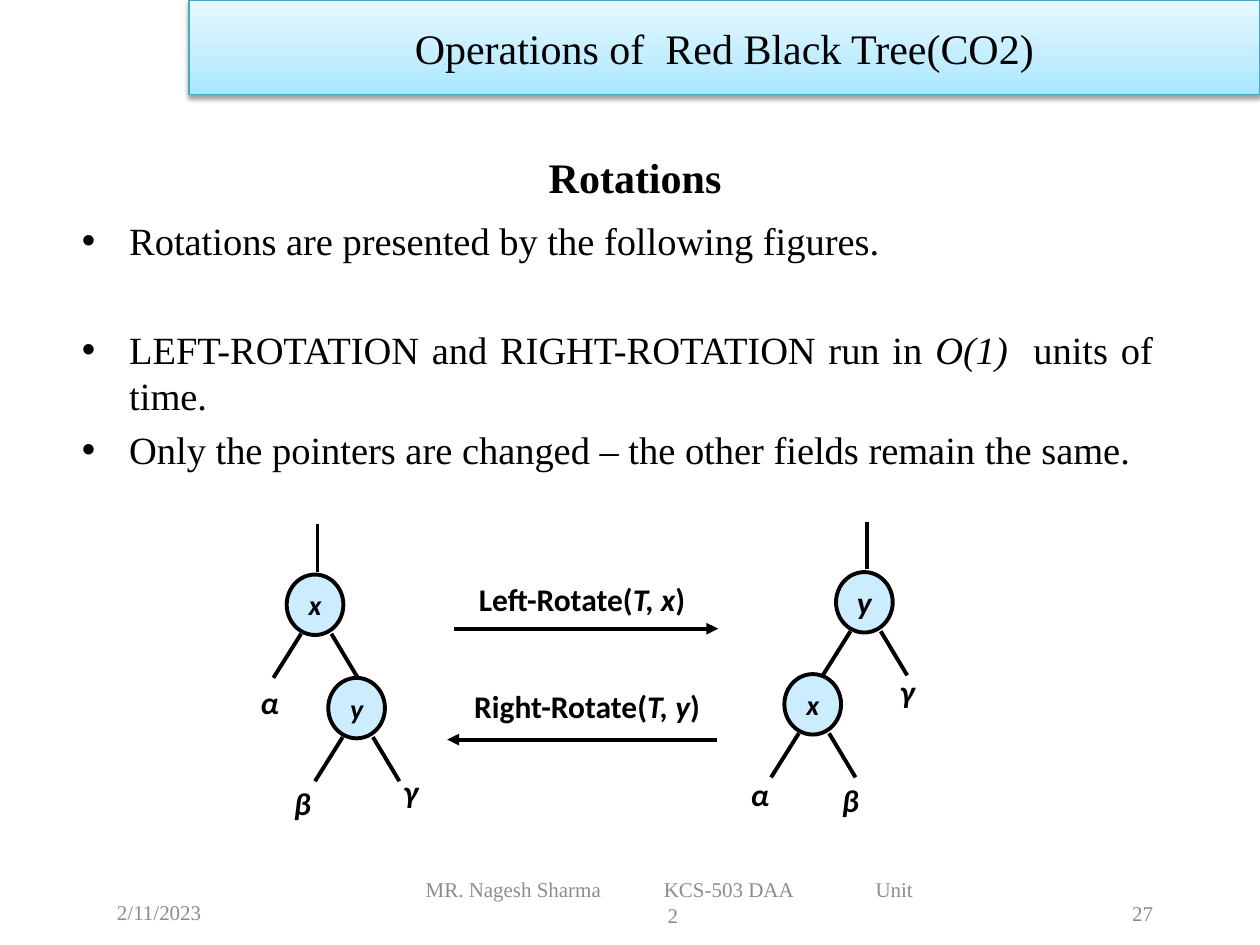
from copy import deepcopy

from pptx import Presentation
from pptx.dml.color import RGBColor
from pptx.enum.shapes import MSO_CONNECTOR, MSO_SHAPE
from pptx.enum.text import MSO_ANCHOR, MSO_AUTO_SIZE, PP_ALIGN
from pptx.oxml import parse_xml
from pptx.oxml.ns import nsdecls, qn
from pptx.util import Inches, Pt

BLACK = RGBColor(0x00, 0x00, 0x00)
GREY = RGBColor(0x8C, 0x8C, 0x8C)
NODE_BLUE = RGBColor(0xCC, 0xEC, 0xFF)
BANNER_EDGE = RGBColor(0x46, 0xAA, 0xC5)
BANNER_STOPS = [
    (0, RGBColor(0xA7, 0xE6, 0xFF)),
    (0.35, RGBColor(0xC1, 0xED, 0xFF)),
    (1, RGBColor(0xE7, 0xF8, 0xFF)),
]

SLIDE_WIDTH, SLIDE_HEIGHT = Inches(10), Inches(7.5)
COLUMNS, ROWS = 100, 75

SERIF = {"name": "Times New Roman", "size": Pt(22)}
HEADING = {"name": "Times New Roman", "size": Pt(24), "bold": True}
BANNER = {"name": "Times New Roman", "size": Pt(24)}
FOOTER = {"name": "Times New Roman", "size": Pt(12)}
LABEL = {"name": "Calibri", "size": Pt(18), "bold": True}
SYMBOL = {**LABEL, "italic": True}
SMALL_SYMBOL = {**SYMBOL, "size": Pt(16)}

STEM = ((0.2, -6.4), (0.2, -2.6))
BRANCHES = (((-1.1, 2.3), (-3.3, 5.8)), ((1.3, 2.3), (3.4, 5.8)))


def place(column, row):
    return round(SLIDE_WIDTH * column / COLUMNS), round(SLIDE_HEIGHT * row / ROWS)


def apply_format(target, values):
    for name, value in values.items():
        setattr(target, name, value)


def add_run(paragraph, text, style, color=BLACK):
    run = paragraph.add_run()
    run.text = text
    apply_format(run.font, style)
    run.font.color.rgb = color


def add_text_box(slide, box, wrap=True):
    text_box = slide.shapes.add_textbox(*place(*box[:2]), *place(*box[2:]))
    apply_format(text_box.text_frame, {
        "word_wrap": wrap, "vertical_anchor": MSO_ANCHOR.MIDDLE,
    })
    return text_box.text_frame


def add_label(slide, center, runs, width=5, height=7):
    column, row = center
    box = (column - width / 2, row - height / 2, width, height)
    paragraph = add_text_box(slide, box, wrap=False).paragraphs[0]
    paragraph.alignment = PP_ALIGN.CENTER
    for text, style in runs:
        add_run(paragraph, text, style)


def add_line(slide, start, end, arrow=False):
    connector = slide.shapes.add_connector(
        MSO_CONNECTOR.STRAIGHT, *place(*start), *place(*end))
    connector.line.color.rgb = BLACK
    connector.line.width = Pt(2.25)
    properties = connector._element.spPr
    if arrow:
        properties.find(qn("a:ln")).append(
            parse_xml(f'<a:tailEnd {nsdecls("a")} type="triangle"/>'))
    properties.append(parse_xml(f'<a:effectLst {nsdecls("a")}/>'))


def add_branch(slide, center, segment):
    column, row = center
    start, end = [(column + across, row + down) for across, down in segment]
    add_line(slide, start, end)


def add_node(slide, center, name, style):
    column, row = center
    node = slide.shapes.add_shape(
        MSO_SHAPE.OVAL, *place(column - 2.25, row - 2.4), *place(4.5, 4.8))
    node.shadow.inherit = False
    node.fill.solid()
    node.fill.fore_color.rgb = NODE_BLUE
    node.line.color.rgb = BLACK
    node.line.width = Pt(2.25)
    apply_format(node.text_frame, {
        "word_wrap": False, "vertical_anchor": MSO_ANCHOR.MIDDLE,
    })
    paragraph = node.text_frame.paragraphs[0]
    paragraph.alignment = PP_ALIGN.CENTER
    add_run(paragraph, name, style)


def add_tree(slide, nodes, leaves):
    for center, name, style in nodes:
        add_node(slide, center, name, style)
        for branch in BRANCHES:
            add_branch(slide, center, branch)
    add_branch(slide, nodes[0][0], STEM)
    for center, symbol in leaves:
        add_label(slide, center, [(symbol, SYMBOL)])


def add_rotation(slide, start, end, center, name, arguments):
    add_line(slide, start, end, arrow=True)
    runs = [(f"{name}(", LABEL), (arguments, SYMBOL), (")", LABEL)]
    add_label(slide, center, runs, width=26)


def add_banner(slide, text):
    banner = slide.shapes.add_shape(MSO_SHAPE.RECTANGLE, *place(15, 0), *place(85, 7.5))
    banner.fill.gradient()
    banner.fill.gradient_angle = 90
    properties = banner._element.spPr
    stop_list = properties.find(qn("a:gradFill")).find(qn("a:gsLst"))
    stop_list.append(deepcopy(stop_list[0]))
    for stop, (position, color) in zip(banner.fill.gradient_stops, BANNER_STOPS):
        stop.position = position
        stop.color.rgb = color
    banner.line.color.rgb = BANNER_EDGE
    banner.line.width = Pt(0.75)
    properties.append(parse_xml(
        f'<a:effectLst {nsdecls("a")}><a:outerShdw blurRad="{Pt(3.1)}" '
        f'dist="{Pt(1.6)}" dir="5400000" rotWithShape="0"><a:srgbClr val="{BLACK}">'
        '<a:alpha val="38000"/></a:srgbClr></a:outerShdw></a:effectLst>'))
    banner.text_frame.vertical_anchor = MSO_ANCHOR.MIDDLE
    paragraph = banner.text_frame.paragraphs[0]
    paragraph.alignment = PP_ALIGN.CENTER
    add_run(paragraph, text, BANNER)


def move_placeholder(placeholder, box):
    left, top = place(*box[:2])
    width, height = place(*box[2:])
    apply_format(placeholder, {"left": left, "top": top, "width": width, "height": height})
    placeholder.text_frame.auto_size = MSO_AUTO_SIZE.NONE
    return placeholder.text_frame


def fill_title(slide, text):
    frame = move_placeholder(slide.shapes.title, (8.3, 12, 84.2, 4.1))
    frame.paragraphs[0].alignment = PP_ALIGN.CENTER
    add_run(frame.paragraphs[0], text, HEADING)


def fill_body(slide, items):
    frame = move_placeholder(slide.placeholders[1], (5.5, 16.7, 87, 23.5))
    for index, (space_before, runs) in enumerate(items):
        paragraph = frame.add_paragraph() if index else frame.paragraphs[0]
        paragraph.alignment = PP_ALIGN.JUSTIFY
        paragraph.space_before = Pt(space_before)
        for text, style in runs:
            add_run(paragraph, text, style)


def add_footer(slide, box, text, alignment):
    paragraph = add_text_box(slide, box).paragraphs[0]
    paragraph.alignment = alignment
    add_run(paragraph, text, FOOTER, GREY)


def add_course_footer(slide, parts, unit):
    frame = add_text_box(slide, (32.8, 69.1, 41.2, 5))
    paragraph = frame.paragraphs[0]
    paragraph._p.get_or_add_pPr().append(parse_xml(
        f'<a:tabLst {nsdecls("a")}><a:tab pos="{Inches(1.89)}" algn="l"/>'
        f'<a:tab pos="{Inches(3.57)}" algn="l"/></a:tabLst>'))
    add_run(paragraph, "\t".join(parts), FOOTER, GREY)
    paragraph = frame.add_paragraph()
    paragraph.alignment = PP_ALIGN.CENTER
    add_run(paragraph, unit, FOOTER, GREY)


def main():
    presentation = Presentation()
    presentation.slide_width, presentation.slide_height = SLIDE_WIDTH, SLIDE_HEIGHT
    slide = presentation.slides.add_slide(presentation.slide_layouts[1])

    fill_title(slide, "Rotations")
    fill_body(slide, [
        (0, [("Rotations are presented by the following figures.", SERIF)]),
        (36, [("LEFT-ROTATION and RIGHT-ROTATION run in ", SERIF),
              ("O(1) ", {**SERIF, "italic": True}), (" units of time.", SERIF)]),
        (4.4, [("Only the pointers are changed – the other fields remain the same.", SERIF)]),
    ])
    add_tree(slide,
             [((25, 48), "x", SMALL_SYMBOL), ((28.3, 56.2), "y", SMALL_SYMBOL)],
             [((21.4, 55.7), "α"), ((24, 63.7), "β"), ((32.6, 62.8), "γ")])
    add_tree(slide,
             [((68.6, 47.8), "y", SYMBOL), ((64.5, 55.9), "x", SMALL_SYMBOL)],
             [((60.3, 63), "α"), ((67.5, 63.5), "β"), ((72, 54.8), "γ")])
    add_rotation(slide, (36, 49.9), (57, 49.9), (46.2, 47.5), "Left-Rotate", "T, x")
    add_rotation(slide, (56.9, 58.7), (35.5, 58.7), (46.6, 56), "Right-Rotate", "T, y")
    add_footer(slide, (8.3, 69.9, 22.5, 5), "2/11/2023", PP_ALIGN.LEFT)
    add_footer(slide, (75, 70, 17.5, 5), "27", PP_ALIGN.RIGHT)
    add_course_footer(slide, ["MR. Nagesh Sharma", "KCS-503 DAA", "Unit"], "2")
    add_banner(slide, "Operations of  Red Black Tree(CO2)")
    presentation.save("out.pptx")


if __name__ == "__main__":
    main()
